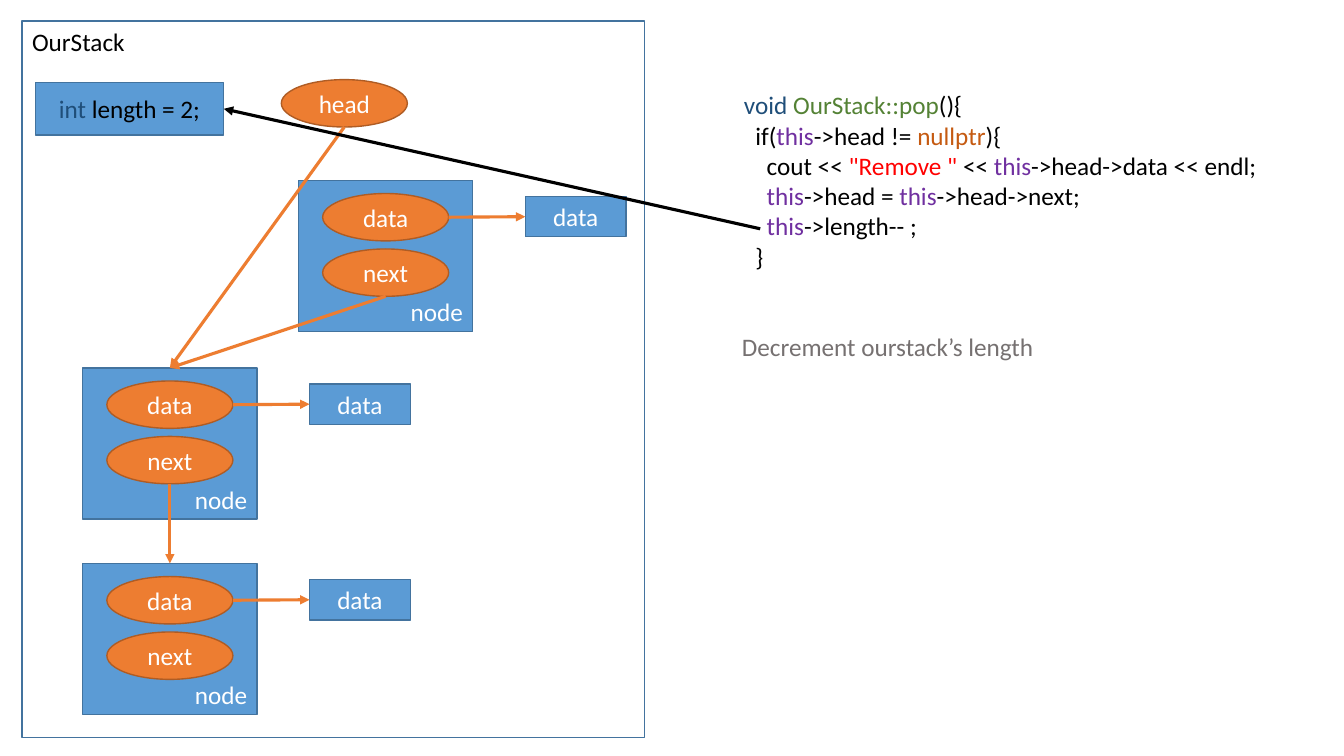
from lxml import etree
from pptx import Presentation
from pptx.dml.color import RGBColor
from pptx.enum.shapes import MSO_CONNECTOR, MSO_SHAPE
from pptx.enum.text import MSO_ANCHOR, MSO_AUTO_SIZE, PP_ALIGN
from pptx.oxml.ns import qn
from pptx.util import Inches, Pt

RECT, OVAL = MSO_SHAPE.RECTANGLE, MSO_SHAPE.OVAL
STRAIGHT = MSO_CONNECTOR.STRAIGHT
TOP, MIDDLE, BOTTOM = MSO_ANCHOR.TOP, MSO_ANCHOR.MIDDLE, MSO_ANCHOR.BOTTOM
LEFT, CENTER, RIGHT = PP_ALIGN.LEFT, PP_ALIGN.CENTER, PP_ALIGN.RIGHT
FIT_SHAPE = MSO_AUTO_SIZE.SHAPE_TO_FIT_TEXT

COLORS = {
    "plain": "000000", "white": "FFFFFF", "caption": "767171",
    "box": "5B9BD5", "box_edge": "43739E",
    "pointer": "ED7D31", "pointer_edge": "AF5C24",
    "type": "1F4E79", "name": "548235", "this": "7030A0",
    "null": "C55A11", "string": "FF0000",
}
CELL = Inches(0.1)  # grid of 133.3 columns by 75 rows
TOP_SITE, LEFT_SITE, RIGHT_SITE = 0, 1, 3  # connection sites of a rectangle

THIS = ("this", "this")
CODE = [  # indent level, then (text, colour) parts
    (0, [("void ", "type"), ("OurStack::pop", "name"), ("(){", "plain")]),
    (1, [("if(", "plain"), THIS, ("->head != ", "plain"),
         ("nullptr", "null"), ("){", "plain")]),
    (2, [("cout << ", "plain"), ('"Remove " ', "string"), ("<< ", "plain"),
         THIS, ("->head->data << endl;", "plain")]),
    (2, [THIS, ("->head = ", "plain"), THIS, ("->head->next;", "plain")]),
    (2, [THIS, ("->length-- ;", "plain")]),
    (1, [("}", "plain")]),
]


class Diagram:
    """Holds the style and the slide, and draws elements in grid cells."""

    font, size, indent = "Calibri", Pt(18), Pt(8.14)

    def __init__(self, slide):
        """Keep the slide to draw on."""
        self.shapes = slide.shapes

    def cells(self, *lengths):
        """Turn grid cells into slide lengths."""
        return [round(length * CELL) for length in lengths]

    def color(self, name):
        """Look up a named colour."""
        return RGBColor.from_string(COLORS[name])

    def set_lines(self, frame, lines, align):
        """Fill a text frame with indented lines of coloured parts."""
        frame.text = "\n".join("" for _ in lines)
        for paragraph, (level, parts) in zip(frame.paragraphs, lines):
            paragraph.alignment = align
            if level:
                paragraph._p.get_or_add_pPr().set("marL", str(level * self.indent))
            for text, color in parts:
                run = paragraph.add_run()
                run.text = text
                run.font.name, run.font.size = self.font, self.size
                run.font.color.rgb = self.color(color)

    def text(self, place, lines):
        """Add a text box that does not wrap."""
        frame = self.shapes.add_textbox(*self.cells(*place)).text_frame
        self.set_lines(frame, lines, LEFT)
        frame.word_wrap = False
        frame.auto_size = FIT_SHAPE

    def shape(self, kind, place, parts, fill="box", anchor=MIDDLE, align=CENTER):
        """Add a labelled shape; without a fill it is an outline."""
        shape = self.shapes.add_shape(kind, *self.cells(*place))
        shape.shadow.inherit = False
        if fill:
            shape.fill.solid()
            shape.fill.fore_color.rgb = self.color(fill)
        else:
            shape.fill.background()
        shape.line.color.rgb = self.color(f"{fill or 'box'}_edge")
        shape.line.width = Pt(1)
        shape.text_frame.vertical_anchor = anchor
        self.set_lines(shape.text_frame, [(0, parts)], align)
        return shape

    def pointer(self, left, top, label):
        """Add an oval that stands for a pointer."""
        return self.shape(OVAL, (left, top, 12.5, 4.7), [(label, "white")], "pointer")

    def arrow(self, start, target, site, color="pointer"):
        """Draw an arrow from a point to a connection site of a shape."""
        line = self.shapes.add_connector(STRAIGHT, *start, *start)
        line.end_connect(target, site)
        line.line.color.rgb = self.color(color)
        line.line.width = Pt(2.25)
        etree.SubElement(line.line._get_or_add_ln(), qn("a:tailEnd"), type="triangle")
        etree.SubElement(line._element.spPr, qn("a:effectLst"))

    def node(self, left, top):
        """Add a node with its data box; return the node and its next pointer."""
        node = self.shape(RECT, (left, top, 17.3, 15), [("node", "white")],
                          anchor=BOTTOM, align=RIGHT)
        data, following = [self.pointer(left + 2.4, top + drop, label)
                           for drop, label in ((1.3, "data"), (6.8, "next"))]
        value = self.shape(RECT, (left + 22.5, top + 1.6, 10, 4), [("data", "white")])
        self.arrow(right_of(data), value, LEFT_SITE)
        return node, following


def right_of(shape):
    """Return the middle of the right edge."""
    return shape.left + shape.width, shape.top + shape.height // 2


def below(shape):
    """Return the middle of the bottom edge."""
    return shape.left + shape.width // 2, shape.top + shape.height


prs = Presentation()
prs.slide_width, prs.slide_height = Inches(13.33), Inches(7.5)
diagram = Diagram(prs.slides.add_slide(prs.slide_layouts[6]))

diagram.text((72.8, 8.4, 53.5, 19.2), CODE)
diagram.text((72.6, 32.4, 31.9, 4), [(0, [("Decrement ourstack’s length", "caption")])])

diagram.shape(RECT, (2.2, 2.1, 61.7, 71.1), [("OurStack", "plain")],
              fill=None, anchor=TOP, align=LEFT)
length = diagram.shape(RECT, (3.5, 8.2, 18.7, 5.2),
                       [("int", "type"), (" length = 2;", "plain")])
head = diagram.pointer(27.9, 7.9, "head")

removed, removed_next = diagram.node(29.6, 17.9)
first, first_next = diagram.node(8.2, 36.5)
last, last_next = diagram.node(8.2, 55.9)

diagram.arrow(below(removed_next), first, TOP_SITE)
diagram.arrow(below(first_next), last, TOP_SITE)
diagram.arrow(below(head), first, TOP_SITE)
diagram.arrow(diagram.cells(75.4, 22.7), length, RIGHT_SITE, "plain")

prs.save("out.pptx")
